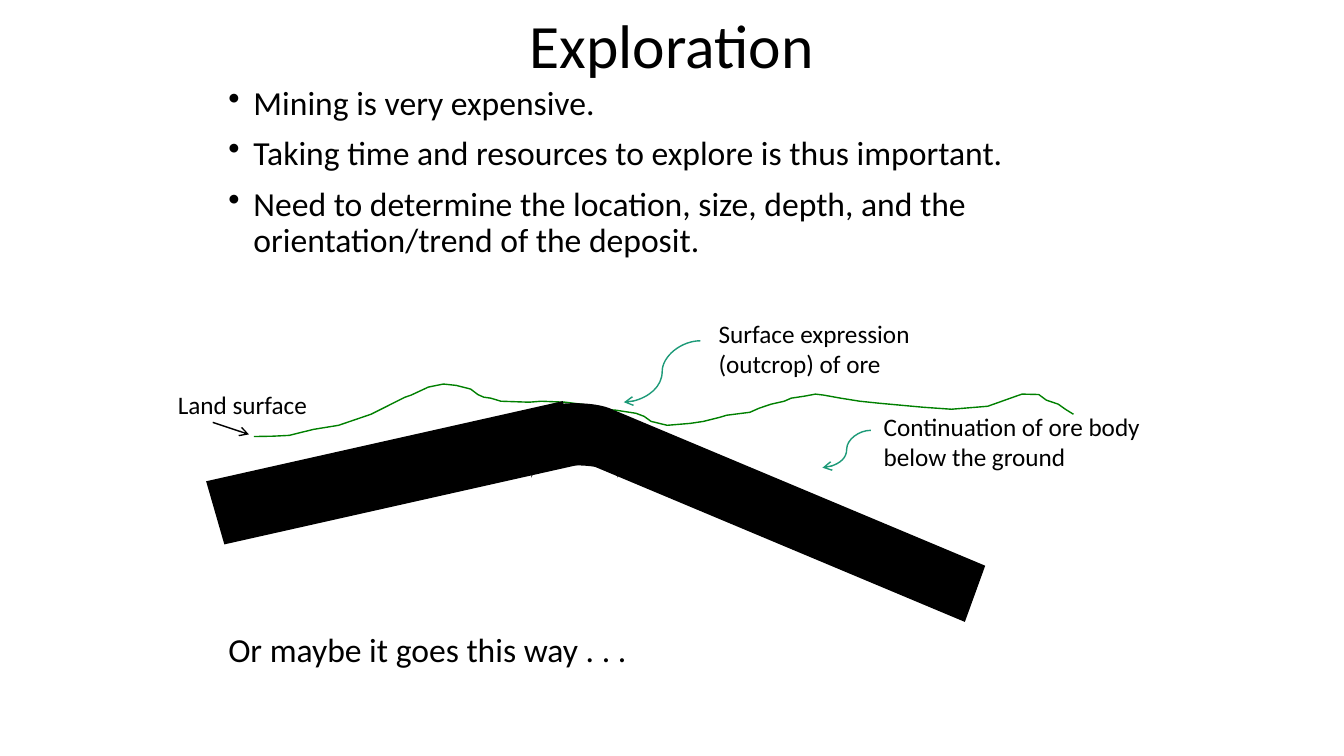
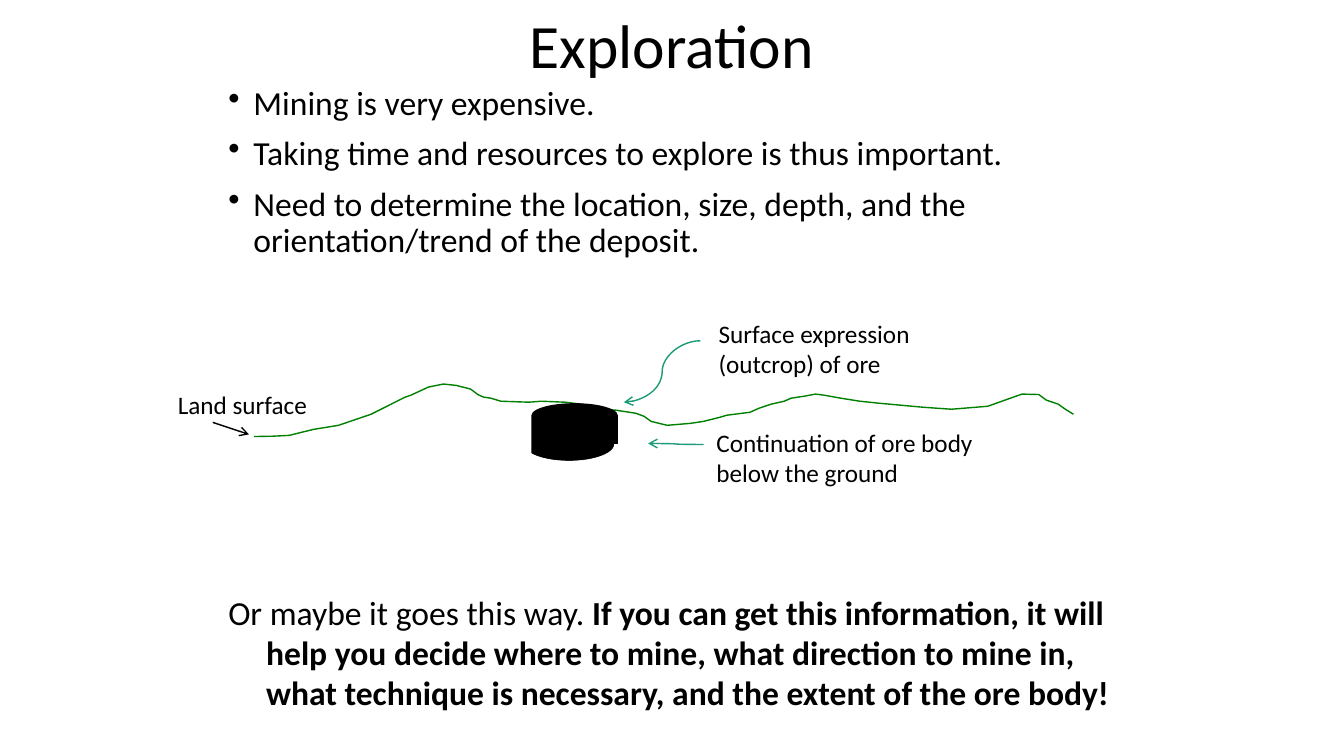
from lxml import etree
from pptx import Presentation
from pptx.dml.color import RGBColor
from pptx.enum import shapes, text
from pptx.oxml.ns import qn
from pptx.util import Pt

FONT = "Calibri"
INK, PAPER, GRASS, TEAL = "000000", "FFFFFF", "008000", "1D9A78"
KIND = shapes.MSO_SHAPE
LINK = shapes.MSO_CONNECTOR

HEAD = (156, 0, 648, 62)
BODY = (156, 58.3, 666.7, 194.4)
SCENE = (156, 224, 648, 216)
POINTS = [
    "Mining is very expensive.",
    "Taking time and resources to explore is thus important.",
    "Need to determine the location, size, depth, and the orientation/trend of the deposit.",
]
LAND = [
    (25.4, 87.8), (38.5, 87.6), (50.6, 87), (67.9, 82.7), (85.9, 79.8),
    (109, 71.9), (126.2, 63.3), (133.4, 59.7), (137.8, 58.2), (150, 52.5),
    (160.8, 50.3), (170, 51.3), (180.2, 53.9), (185.5, 57.9), (189.6, 59.7),
    (194.6, 60.4), (201.8, 62.6), (222, 63.3), (230.6, 62.6), (247.9, 63.3),
    (259.4, 64.7), (265.2, 66.9), (274.6, 68.3), (283.9, 69), (298.3, 71.2),
    (304.1, 73.4), (309.1, 77), (320.6, 79.8), (337.2, 78.4), (346.6, 77),
    (358.1, 74.1), (363.1, 72.6), (379.7, 70.5), (386.2, 67.6), (394.8, 64.7),
    (404.2, 62.6), (409.2, 60.4), (418.6, 59), (426.5, 57.5), (432.2, 58.2),
    (444.5, 60.4), (458.2, 62.6), (471.8, 64), (503.5, 66.9), (523.7, 68.3),
    (549.6, 66.2), (559.7, 62.6), (569.8, 59), (574.1, 57.5), (586, 57.8),
    (591.4, 61.8), (600, 64.7), (605, 68.3), (610.8, 71.9),
]


def tint(code):
    return RGBColor.from_string(code)


def style(item, **form):
    for name, value in form.items():
        setattr(item, name, value)


def place(box, part):
    return [Pt(v) for v in (box[0] + part[0], box[1] + part[1], *part[2:])]


def write(para, runs, size):
    for words, bold in runs:
        run = para.add_run()
        run.text = words
        style(run.font, name=FONT, size=Pt(size), bold=bold)
        run.font.color.rgb = tint(INK)


def indent(para, gap):
    props = para._p.get_or_add_pPr()
    props.set("marL", str(Pt(gap)))
    props.set("indent", str(-Pt(gap)))
    return props


def frame(slide, box):
    area = slide.shapes.add_textbox(*[Pt(v) for v in box]).text_frame
    area.word_wrap = True
    return area


def title(slide, box, words):
    head = slide.shapes.title
    style(head, **dict(zip(("left", "top", "width", "height"), map(Pt, box))))
    style(head.text_frame, auto_size=text.MSO_AUTO_SIZE.NONE,
          vertical_anchor=text.MSO_ANCHOR.MIDDLE)
    para = head.text_frame.paragraphs[0]
    para.alignment = text.PP_ALIGN.CENTER
    write(para, [(words, False)], 44)


def bullets(slide, box, items):
    area = frame(slide, box)
    for i, words in enumerate(items):
        para = area.add_paragraph() if i else area.paragraphs[0]
        style(para, line_spacing=0.9, space_before=Pt(10 if i else 0))
        mark = etree.SubElement(indent(para, 18), qn("a:buChar"))
        mark.set("char", "•")
        write(para, [(words, False)], 24)


def closing(slide, box, runs):
    para = frame(slide, box).paragraphs[0]
    indent(para, 27)
    write(para, runs, 24)


def label(slide, box, part, words):
    area = frame(slide, (box[0] + part[0], box[1] + part[1], *part[2:]))
    area.auto_size = text.MSO_AUTO_SIZE.SHAPE_TO_FIT_TEXT
    write(area.paragraphs[0], [(words, False)], 18)


def solid(slide, box, kind, part, fill, turn=0):
    form = slide.shapes.add_shape(kind, *place(box, part))
    form.rotation = turn
    form.shadow.inherit = False
    form.fill.solid()
    form.fill.fore_color.rgb = tint(fill)
    if fill == PAPER:
        form.line.color.rgb = tint(fill)
        form.line.width = Pt(0.5)
    else:
        form.line.fill.background()


def arrow(slide, box, kind, start, stop, color):
    link = slide.shapes.add_connector(kind, *place(box, start), *place(box, stop))
    link.line.color.rgb = tint(color)
    link.line.width = Pt(1)
    tail = etree.SubElement(link.line._get_or_add_ln(), qn("a:tailEnd"))
    tail.set("type", "arrow")
    etree.SubElement(link._element.spPr, qn("a:effectLst"))


def ground(slide, box):
    first, *rest = [place(box, spot) for spot in LAND]
    path = slide.shapes.build_freeform(*first)
    path.add_line_segments(rest, close=False)
    form = path.convert_to_shape()
    form.shadow.inherit = False
    form.fill.background()
    form.line.color.rgb = tint(GRASS)
    form.line.width = Pt(1)


def scene(slide, box, note, start, stop):
    solid(slide, box, KIND.RECTANGLE, (0, 0, *box[2:]), PAPER)
    label(slide, box, (-36, 50.3, 172.8, 28.8), "Land surface")
    arrow(slide, box, LINK.STRAIGHT, (-4, 77.7), (21.8, 86.3), INK)
    ground(slide, box)
    label(slide, box, (350.2, 0, 172.8, 51), "Surface expression (outcrop) of ore")
    arrow(slide, box, LINK.CURVE, (344.4, 19.4), (289.7, 63.3), TEAL)
    label(slide, box, (*note, 234.7, 51), "Continuation of ore body below the ground")
    arrow(slide, box, LINK.CURVE, start, stop, TEAL)
    solid(slide, box, KIND.FLOWCHART_STORED_DATA, (227.8, 59.7, 53.3, 61.9), INK, 90)


def limbs(slide, box):
    for part, turn in (((93.8, -16.6, 62.6, 260.6), 73.9),
                       ((379.7, 1.4, 56.9, 286.6), 109.9)):
        solid(slide, box, KIND.PARALLELOGRAM, part, INK, turn)


def masks(slide, box):
    solid(slide, box, KIND.BLOCK_ARC, (206.2, 69.8, 88.6, 47.5), PAPER, 180)
    for spot in ((206.2, 104.3), (272.4, 107.9)):
        solid(slide, box, KIND.RECTANGLE, (*spot, 25.9, 23.8), PAPER)


def page(deck, view, extra, top, runs):
    slide = deck.slides.add_slide(deck.slide_layouts[5])
    title(slide, HEAD, "Exploration")
    scene(slide, SCENE, *view)
    extra(slide, SCENE)
    bullets(slide, BODY, POINTS)
    closing(slide, (156, top, 648, 85), runs)


def main():
    deck = Presentation()
    style(deck, slide_width=Pt(960), slide_height=Pt(540))
    page(deck, ((468.2, 66.2), (466.1, 83.4), (431.5, 110.1)), limbs, 446,
         [("Or maybe it goes this way . . .", False)])
    page(deck, ((348.7, 77.7), (346.6, 93.5), (307, 92.8)), masks, 419,
         [("Or maybe it goes this way. ", False),
          ("If you can get this information, it will help you decide where to mine, "
           "what direction to mine in, what technique is necessary, "
           "and the extent of the ore body!", True)])
    deck.save("out.pptx")


if __name__ == "__main__":
    main()
